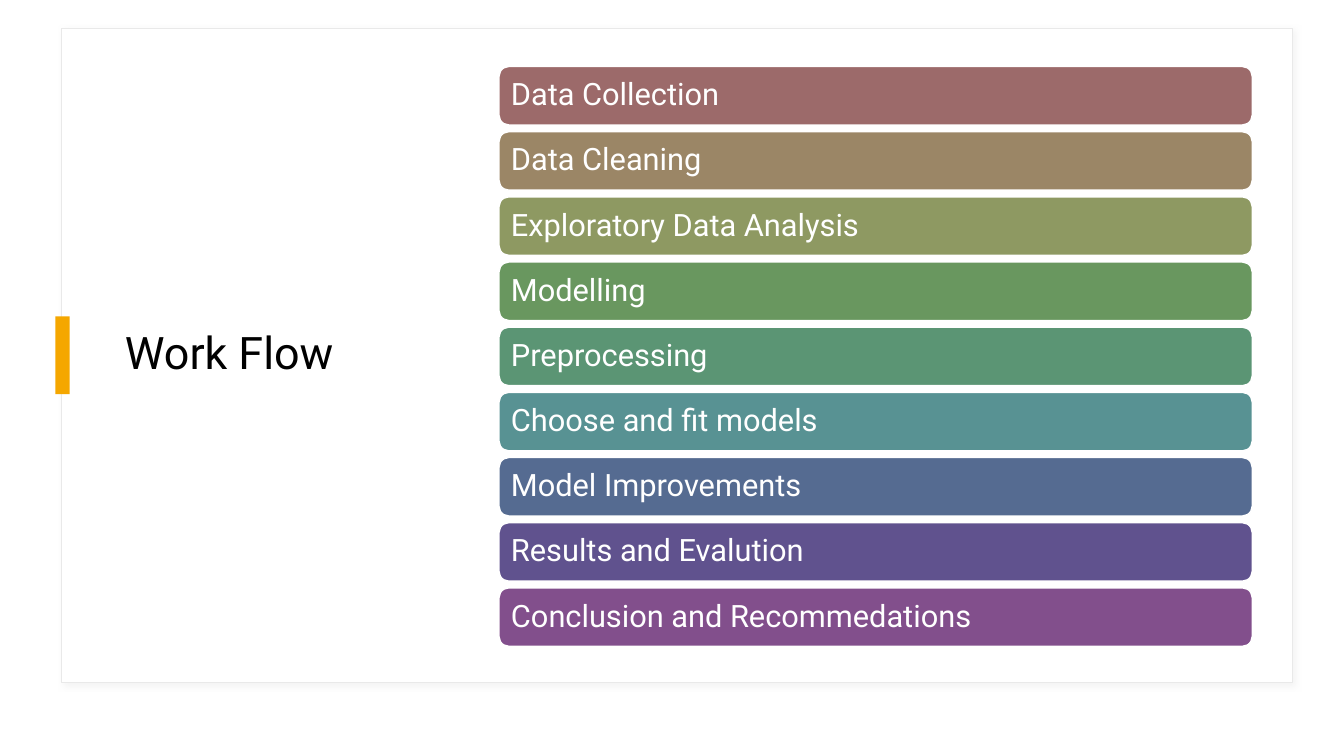
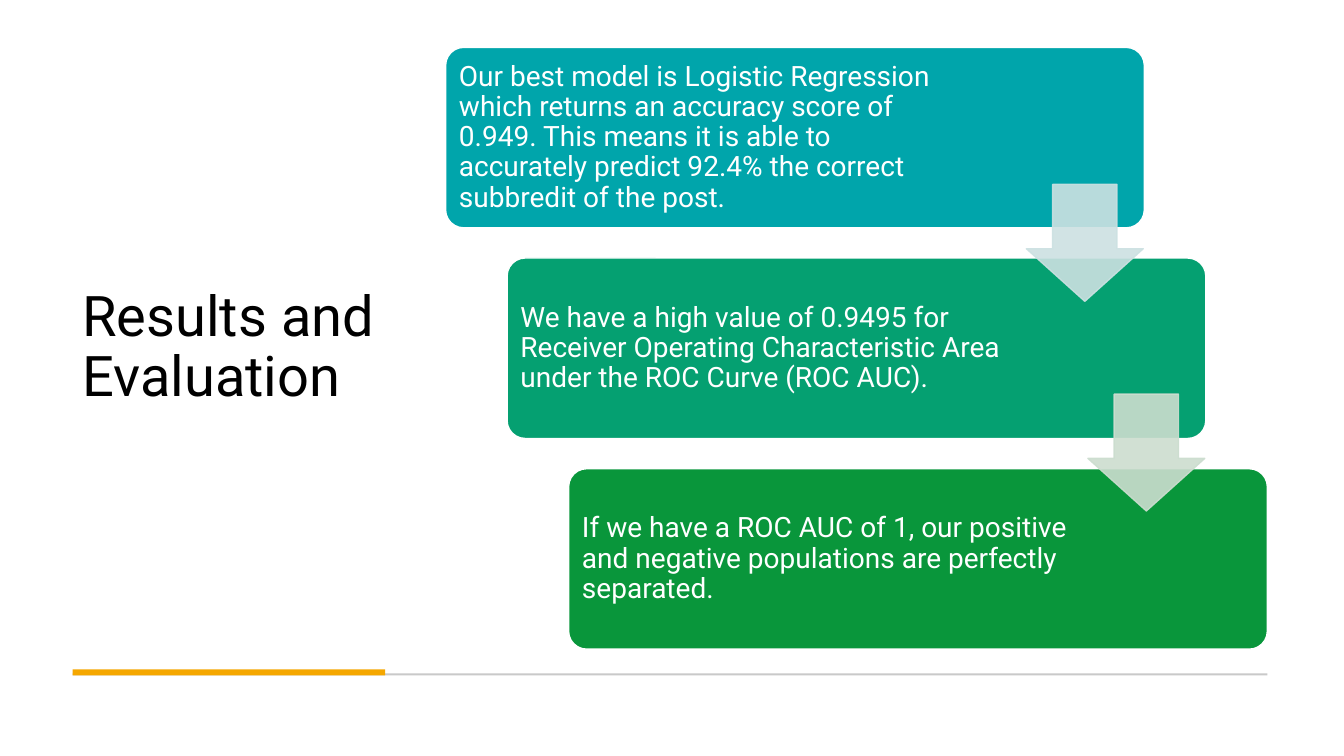
from lxml import etree
from pptx import Presentation
from pptx.dml.color import RGBColor
from pptx.enum.shapes import MSO_SHAPE as Shape
from pptx.enum.text import MSO_ANCHOR as Anchor, PP_ALIGN as Align
from pptx.oxml import parse_xml
from pptx.oxml.ns import nsdecls, qn
from pptx.util import Inches, Pt

FONT = "Roboto"
HUES = {
    "white": "FFFFFF", "black": "000000", "accent": "F5A700",
    "edge": "E9E9E9", "shade": "D9D9D9", "rule": "C9C9C9",
}
STEPS = {
    "Data Collection": "9C6A6A",
    "Data Cleaning": "9B8666",
    "Exploratory Data Analysis": "8E9962",
    "Modelling": "69975F",
    "Preprocessing": "5B9574",
    "Choose and fit models": "589293",
    "Model Improvements": "556B91",
    "Results and Evalution": "60528E",
    "Conclusion and Recommedations": "824F8C",
}
CARDS = {
    "Our best model is Logistic Regression which returns an accuracy score of "
    "0.949. This means it is able to accurately predict 92.4% the correct "
    "subbredit of the post.": "00A5AB",
    "We have a high value of 0.9495 for Receiver Operating Characteristic Area "
    "under the ROC Curve (ROC AUC).": "05A071",
    "If we have a ROC AUC of 1, our positive and negative populations are "
    "perfectly separated.": "09963B",
}
ARROWS = ["CCE1E2", "CCDDCF"]


def draw(slide, kind, box, fill, line=None):
    shape = slide.shapes.add_shape(kind, *map(Inches, box))
    shape.shadow.inherit = False
    shape.fill.solid()
    shape.fill.fore_color.rgb = RGBColor.from_string(fill)
    if line:
        shape.line.color.rgb = RGBColor.from_string(line)
        shape.line.width = Pt(1)
    else:
        shape.line.fill.background()
    return shape


def write(shape, text, size, hue, pad=0.1, right=None):
    frame = shape.text_frame
    frame.word_wrap = True
    frame.vertical_anchor = Anchor.MIDDLE
    frame.margin_left = frame.margin_top = frame.margin_bottom = Inches(pad)
    frame.margin_right = Inches(right or pad)
    para = frame.paragraphs[0]
    para.text = text
    para.alignment = Align.LEFT
    para.line_spacing = 0.9
    para.font.name = FONT
    para.font.size = Pt(size)
    para.font.color.rgb = RGBColor.from_string(hue)


deck = Presentation()
deck.slide_width, deck.slide_height = Inches(13.33), Inches(7.5)
blank = deck.slide_layouts[6]

flow = deck.slides.add_slide(blank)
panel = draw(flow, Shape.RECTANGLE, (0.61, 0.28, 12.21, 6.49),
             HUES["white"], HUES["edge"])
glow = panel._element.spPr.find(qn("a:effectLst"))
glow.append(parse_xml(
    f'<a:outerShdw {nsdecls("a")} blurRad="{Pt(4)}" dist="{Pt(3)}" dir="2700000">'
    f'<a:srgbClr val="{HUES["shade"]}"><a:alpha val="30000"/></a:srgbClr>'
    '</a:outerShdw>'))
title = flow.shapes.add_textbox(*map(Inches, (1.14, 0.55, 3.27, 5.95)))
write(title, "Work Flow", 32, HUES["black"])
draw(flow, Shape.RECTANGLE, (0.55, 3.14, 0.14, 0.77), HUES["accent"])
for i, (text, fill) in enumerate(STEPS.items()):
    box = (4.95, 0.66 + 0.6465 * i, 7.47, 0.58)
    step = draw(flow, Shape.ROUNDED_RECTANGLE, box, fill, HUES["white"])
    write(step, text, 22, HUES["white"], 0.09)

result = deck.slides.add_slide(blank)
title = result.shapes.add_textbox(*map(Inches, (0.72, 0.47, 3.1, 5.97)))
write(title, "Results and Evaluation", 40, HUES["black"])
draw(result, Shape.RECTANGLE, (0.72, 6.68, 11.85, 0.02), HUES["rule"])
draw(result, Shape.RECTANGLE, (0.72, 6.64, 3.1, 0.06), HUES["accent"])
for i, (text, fill) in enumerate(CARDS.items()):
    box = (4.42 + 0.61 * i, 0.47 + 2.09 * i, 6.93, 1.79)
    card = draw(result, Shape.ROUNDED_RECTANGLE, box, fill, HUES["white"])
    card.adjustments[0] = 0.1
    write(card, text, 20, HUES["white"], 0.08, 1.86)
for i, hue in enumerate(ARROWS):
    box = (10.18 + 0.61 * i, 1.83 + 2.08 * i, 1.16, 1.16)
    arrow = draw(result, Shape.DOWN_ARROW, box, hue, hue)
    arrow.adjustments[0], arrow.adjustments[1] = 0.55, 0.45
    for tint in arrow._element.spPr.iter(qn("a:srgbClr")):
        etree.SubElement(tint, qn("a:alpha"), val="90000")

deck.save("out.pptx")
